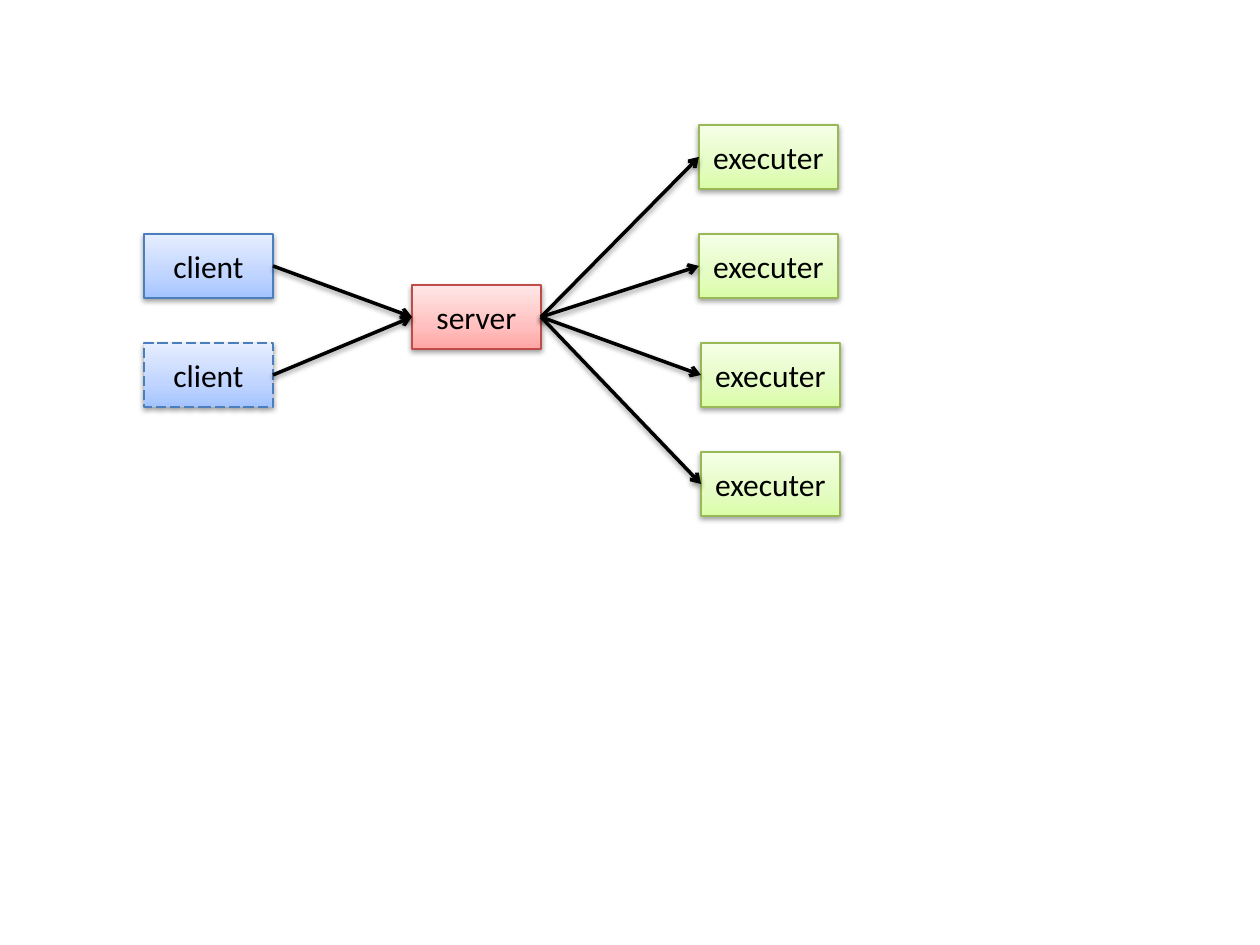
from copy import deepcopy

from lxml import etree
from pptx import Presentation
from pptx import util as u
from pptx.dml.color import RGBColor
from pptx.enum import dml, shapes, text
from pptx.oxml.ns import qn

BLACK = RGBColor(0x00, 0x00, 0x00)
BLUE_LINE = RGBColor(0x4B, 0x7E, 0xBC)
RED_LINE = RGBColor(0xBF, 0x4C, 0x48)
GREEN_LINE = RGBColor(0x98, 0xB9, 0x55)
BLUES = RGBColor(0xA4, 0xC4, 0xFF), RGBColor(0xBF, 0xD4, 0xFF), RGBColor(0xE6, 0xEE, 0xFF)
REDS = RGBColor(0xFF, 0xA6, 0xA5), RGBColor(0xFF, 0xC0, 0xBF), RGBColor(0xFF, 0xE7, 0xE7)
GREENS = RGBColor(0xDA, 0xFD, 0xA7), RGBColor(0xE4, 0xFC, 0xC2), RGBColor(0xF5, 0xFF, 0xE7)
STOPS = 0, 0.35, 1
TOP, LEFT, BOTTOM, RIGHT = range(4)
ROW_TOP, ROW_STEP, BOX_HEIGHT = 125, 109, 64


class Diagram:
    """Draws shaded boxes and arrows on one slide, measured in px."""

    scale = 914400 / 126
    font, font_size = "Calibri", u.Pt(18)

    def __init__(self, width, height):
        self.deck = Presentation()
        self.deck.slide_width = self.px(width)
        self.deck.slide_height = self.px(height)
        self.slide = self.deck.slides.add_slide(self.deck.slide_layouts[6])

    def px(self, length):
        return u.Emu(round(length * self.scale))

    def shade(self, item):
        properties = item._element.spPr
        effects = properties.find(qn("a:effectLst"))
        if effects is None:
            effects = etree.SubElement(properties, qn("a:effectLst"))
        shadow = etree.SubElement(effects, qn("a:outerShdw"), blurRad="40000",
                                  dist="20000", dir="5400000", rotWithShape="0")
        color = etree.SubElement(shadow, qn("a:srgbClr"), val=str(BLACK))
        etree.SubElement(color, qn("a:alpha"), val="38000")

    def box(self, label, left, top, width, colors, outline, dash=None):
        box = self.slide.shapes.add_shape(
            shapes.MSO_SHAPE.RECTANGLE,
            *map(self.px, (left, top, width, BOX_HEIGHT)))
        box.fill.gradient()
        box.fill.gradient_angle = 90
        stop_list = box._element.spPr.find(".//" + qn("a:gsLst"))
        stop_list.insert(1, deepcopy(stop_list[0]))
        for stop, position, color in zip(box.fill.gradient_stops, STOPS, colors):
            stop.position = position
            stop.color.rgb = color
        box.line.color.rgb = outline
        box.line.width = u.Pt(0.75)
        if dash:
            box.line.dash_style = dash
        box.shadow.inherit = False
        self.shade(box)
        frame = box.text_frame
        frame.text = label
        frame.vertical_anchor = text.MSO_ANCHOR.MIDDLE
        paragraph = frame.paragraphs[0]
        paragraph.alignment = text.PP_ALIGN.CENTER
        font = paragraph.runs[0].font
        font.name, font.size = self.font, self.font_size
        font.color.rgb = BLACK
        return box

    def arrow(self, source, target):
        arrow = self.slide.shapes.add_connector(
            shapes.MSO_CONNECTOR.STRAIGHT, 0, 0, 0, 0)
        arrow.begin_connect(source, RIGHT)
        arrow.end_connect(target, LEFT)
        arrow.line.color.rgb = BLACK
        arrow.line.width = u.Pt(2)
        etree.SubElement(arrow.line._get_or_add_ln(), qn("a:tailEnd"), type="arrow")
        self.shade(arrow)


def main():
    diagram = Diagram(1260, 945)
    rows = [ROW_TOP + ROW_STEP * row for row in range(4)]
    clients = [diagram.box("client", 144, top, 129, BLUES, BLUE_LINE, dash)
               for top, dash in zip(rows[1:3], (None, dml.MSO_LINE.LONG_DASH))]
    server = diagram.box("server", 412, 285, 129, REDS, RED_LINE)
    executers = [diagram.box("executer", left, top, 139, GREENS, GREEN_LINE)
                 for left, top in zip((699, 699, 701, 701), rows)]
    for executer in executers:
        diagram.arrow(server, executer)
    for client in clients:
        diagram.arrow(client, server)
    diagram.deck.save("out.pptx")


if __name__ == "__main__":
    main()
